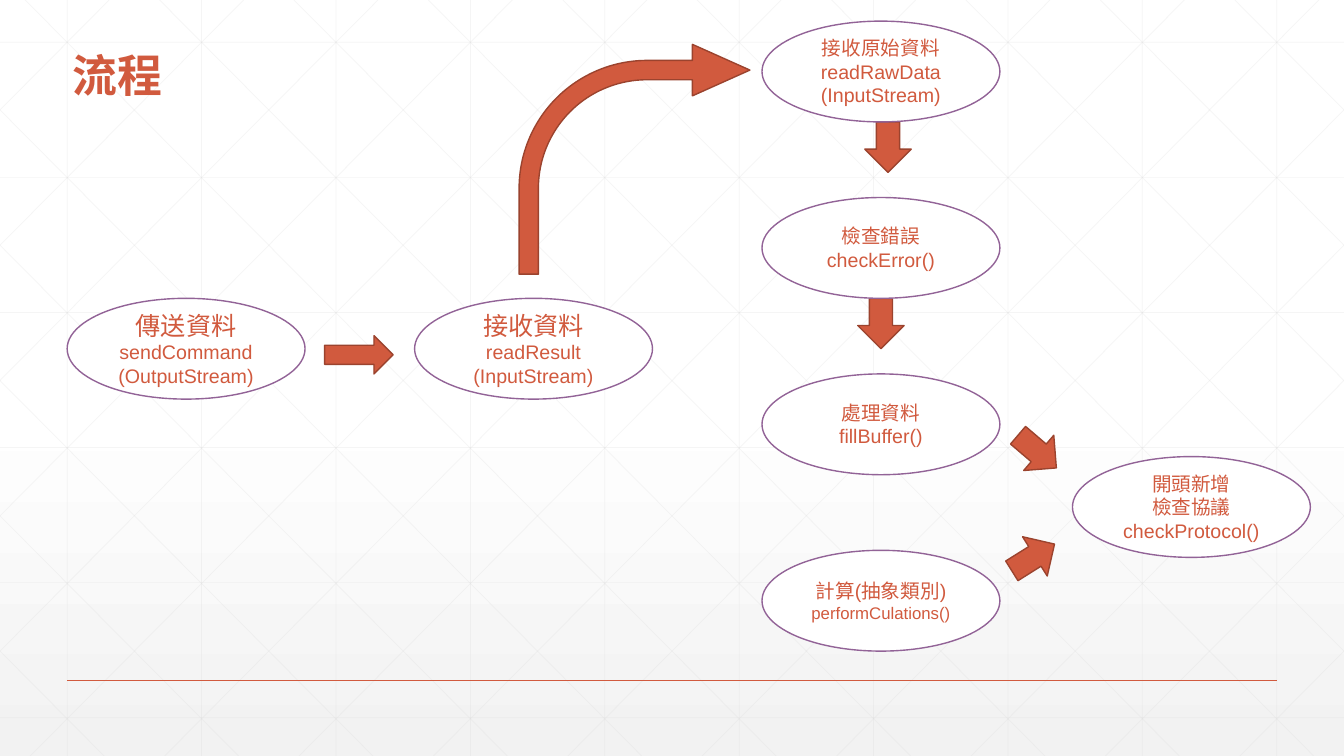
"""Draw the data-flow slide: ovals for the steps, block arrows between them, on a faint lattice."""
from dataclasses import dataclass

from lxml import etree
from pptx import Presentation
from pptx.dml.color import RGBColor
from pptx.enum.shapes import MSO_CONNECTOR, MSO_SHAPE
from pptx.enum.text import MSO_ANCHOR, PP_ALIGN
from pptx.oxml.ns import qn
from pptx.util import Inches, Pt

OVAL, RIGHT, DOWN, BENT = (MSO_SHAPE.OVAL, MSO_SHAPE.RIGHT_ARROW,
                           MSO_SHAPE.DOWN_ARROW, MSO_SHAPE.BENT_ARROW)
STRAIGHT = MSO_CONNECTOR.STRAIGHT
MIDDLE, BOTTOM = MSO_ANCHOR.MIDDLE, MSO_ANCHOR.BOTTOM
LEFT, CENTER = PP_ALIGN.LEFT, PP_ALIGN.CENTER

COLORS = {"accent": "D15A3E", "accent_dark": "9B432E", "purple": "926397",
          "white": "FFFFFF", "fade": "F2F2F2", "lattice": "D9D9D9"}
BODY_FONT, CJK_FONT = "Arial", "Noto Sans CJK TC"

WIDTH, HEIGHT = Inches(13.333), Inches(7.5)
COLUMNS, ROWS = 160, 90
OVAL_WIDTH, OVAL_HEIGHT = 28.32, 12
FIRST_COLUMN, COLUMN_STEP = 8, 41.36
FIRST_ROW, ROW_STEP = 2.52, 21
LATTICE_STEP, DIAGONAL_RUN = 16, 89.4


@dataclass
class Step:
    """An oval with its text lines and their point sizes."""
    column: float
    row: float
    lines: list[str]
    sizes: list[int]


@dataclass
class Arrow:
    """A block arrow on the grid."""
    kind: int
    column: float
    row: float
    width: float = 5.52
    height: float = 6
    rotation: float = 0
    adjustments: tuple[float, ...] = ()


LEFT_X, MIDDLE_X, RIGHT_X = (FIRST_COLUMN + COLUMN_STEP * i for i in range(3))
STACK = [FIRST_ROW + ROW_STEP * i for i in range(4)]
SIDE_ROW = 35.52

STEPS = [
    Step(LEFT_X, SIDE_ROW, ["傳送資料", "sendCommand", "(OutputStream)"], [18, 14, 14]),
    Step(MIDDLE_X, SIDE_ROW, ["接收資料", "readResult", "(InputStream)"], [18, 14, 14]),
    Step(RIGHT_X, STACK[0], ["接收原始資料", "readRawData", "(InputStream)"], [14, 14, 14]),
    Step(RIGHT_X, STACK[1], ["檢查錯誤", "checkError()"], [14, 14]),
    Step(RIGHT_X, STACK[2], ["處理資料", "fillBuffer()"], [14, 14]),
    Step(RIGHT_X, STACK[3], ["計算(抽象類別)", "performCulations()"], [14, 12]),
    Step(127.68, 54.36, ["開頭新增", "檢查協議", "checkProtocol()"], [14, 14, 14]),
]
ARROWS = [
    Arrow(RIGHT, 38.64, 39.96, 8.16, 4.56),
    Arrow(BENT, 61.8, 5.28, 27.48, 27.36, adjustments=(0.084, 0.112, 0.25, 0.557)),
    Arrow(DOWN, 102.96, STACK[0] + OVAL_HEIGHT),
    Arrow(DOWN, 102.12, STACK[1] + OVAL_HEIGHT),
    Arrow(DOWN, 120.72, 50.76, rotation=310.5),
    Arrow(DOWN, 120.24, 63.36, rotation=237.9),
]


def across(columns: float) -> int:
    """Turn grid columns into a length."""
    return round(WIDTH * columns / COLUMNS)


def down(rows: float) -> int:
    """Turn grid rows into a length."""
    return round(HEIGHT * rows / ROWS)


def place(column: float, row: float, width: float, height: float) -> tuple[int, ...]:
    """Turn a grid rectangle into left, top, width and height."""
    return across(column), down(row), across(width), down(height)


def color(name: str) -> RGBColor:
    """Look up a named colour."""
    return RGBColor.from_string(COLORS[name])


def write(box, lines: list[str], *, sizes: list[int], font: str = BODY_FONT,
          bold: bool = False, align=CENTER, anchor=MIDDLE, spacing: float = 1.0) -> None:
    """Fill a box with one paragraph per line."""
    frame = box.text_frame
    frame.word_wrap = True
    frame.vertical_anchor = anchor
    for index, (line, size) in enumerate(zip(lines, sizes)):
        para = frame.paragraphs[0] if index == 0 else frame.add_paragraph()
        para.alignment = align
        para.line_spacing = spacing
        span = para.add_run()
        span.text = line
        span.font.size = Pt(size)
        span.font.bold = bold
        span.font.name = font
        span.font.color.rgb = color("accent")
        east_asian = etree.SubElement(span.font._element, qn("a:ea"))
        east_asian.set("typeface", CJK_FONT)


def add_block(page, kind: int, area: tuple[int, ...], fill: str, outline: str):
    """Add a filled, outlined preset shape."""
    block = page.shapes.add_shape(kind, *area)
    block.shadow.inherit = False
    block.fill.solid()
    block.fill.fore_color.rgb = color(fill)
    block.line.color.rgb = color(outline)
    block.line.width = Pt(1)
    return block


def add_line(page, start: tuple[float, float], end: tuple[float, float],
             name: str = "lattice", width: float = 0.5, opacity: int = 25) -> None:
    """Add a straight line between two grid points."""
    line = page.shapes.add_connector(STRAIGHT, across(start[0]), down(start[1]),
                                     across(end[0]), down(end[1]))
    line.line.color.rgb = color(name)
    line.line.width = Pt(width)
    properties = line._element.spPr
    if opacity < 100:
        tint = properties.find(".//" + qn("a:srgbClr"))
        etree.SubElement(tint, qn("a:alpha")).set("val", str(opacity * 1000))
    etree.SubElement(properties, qn("a:effectLst"))


def draw_lattice(page) -> None:
    """Draw the vertical, horizontal and mirrored diagonal background lines."""
    for index in range(10):
        column = FIRST_COLUMN + LATTICE_STEP * index
        add_line(page, (column, 0), (column, ROWS))
    for index in range(6):
        row = 5.04 + 16.08 * index
        add_line(page, (0, row), (COLUMNS, row))
    slope = ROWS / DIAGONAL_RUN
    for index in range(-5, 10):
        origin = 3 + LATTICE_STEP * index
        first, last = max(0, origin), min(COLUMNS, origin + DIAGONAL_RUN)
        top, bottom = (first - origin) * slope, (last - origin) * slope
        add_line(page, (first, top), (last, bottom))
        add_line(page, (COLUMNS - first, top), (COLUMNS - last, bottom))


def paint_background(page) -> None:
    """Fade the page from white to pale grey at the bottom."""
    fill = page.background.fill
    fill.gradient()
    fill.gradient_angle = 270
    for stop, name, position in zip(fill.gradient_stops, ("white", "fade"), (0.53, 1)):
        stop.color.rgb = color(name)
        stop.position = position


def main() -> None:
    """Build and save the deck."""
    deck = Presentation()
    deck.slide_width, deck.slide_height = WIDTH, HEIGHT
    page = deck.slides.add_slide(deck.slide_layouts[6])
    paint_background(page)
    draw_lattice(page)
    add_line(page, (8, 81), (152, 81), "accent", 1, 100)
    for arrow in ARROWS:
        area = place(arrow.column, arrow.row, arrow.width, arrow.height)
        block = add_block(page, arrow.kind, area, "accent", "accent_dark")
        block.rotation = arrow.rotation
        for index, value in enumerate(arrow.adjustments):
            block.adjustments[index] = value
    for step in STEPS:
        area = place(step.column, step.row, OVAL_WIDTH, OVAL_HEIGHT)
        oval = add_block(page, OVAL, area, "white", "purple")
        write(oval, step.lines, sizes=step.sizes)
    title = page.shapes.add_textbox(*place(7.44, 5.28, 17.4, 7.44))
    write(title, ["流程"], sizes=[32], font=CJK_FONT, bold=True, align=LEFT,
          anchor=BOTTOM, spacing=0.9)
    deck.save("out.pptx")


if __name__ == "__main__":
    main()
